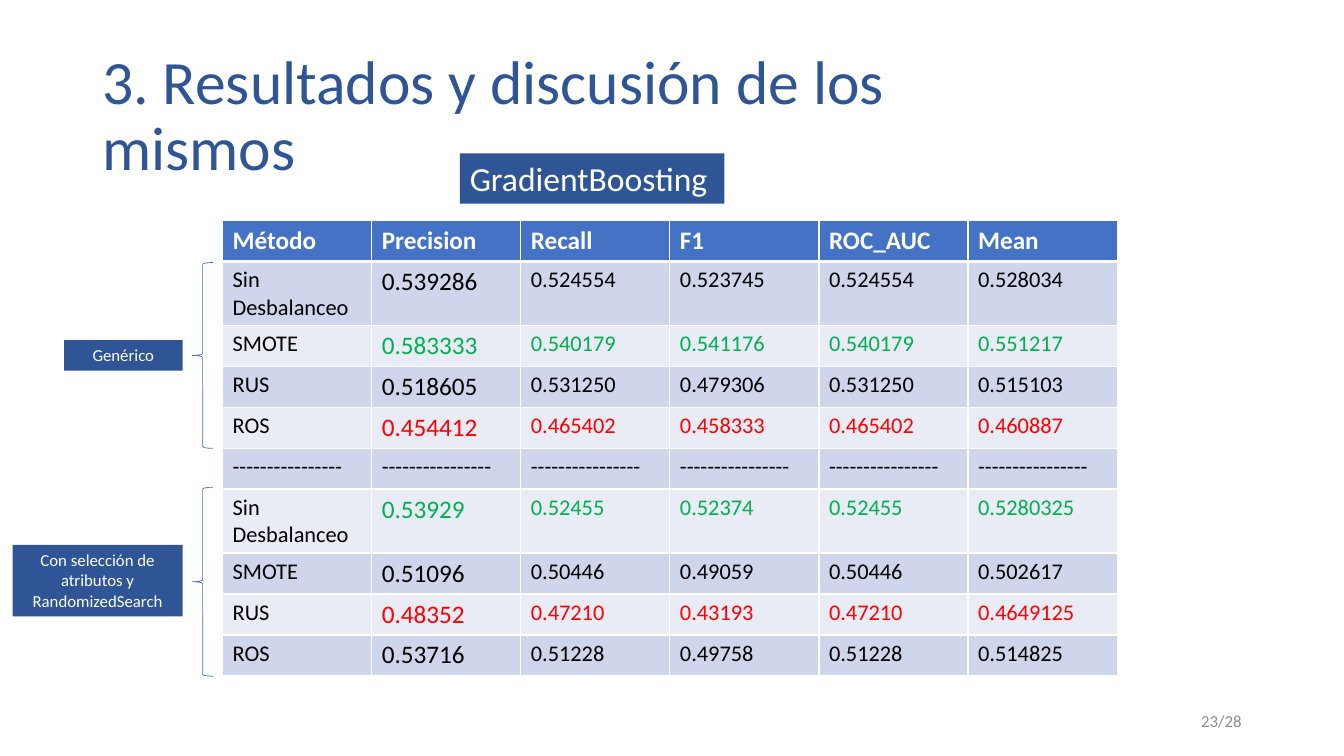
from dataclasses import dataclass

from lxml import etree
from pptx import Presentation
from pptx.dml.color import RGBColor
from pptx.enum.shapes import MSO_SHAPE
from pptx.enum.text import MSO_ANCHOR, MSO_AUTO_SIZE, PP_ALIGN
from pptx.oxml.ns import qn
from pptx.util import Pt

PX = 9525  # EMU in one px, 96 px to the inch
RECTANGLE, LEFT_BRACE = MSO_SHAPE.RECTANGLE, MSO_SHAPE.LEFT_BRACE
TOP, MIDDLE = MSO_ANCHOR.TOP, MSO_ANCHOR.MIDDLE
LEFT, CENTER, RIGHT = PP_ALIGN.LEFT, PP_ALIGN.CENTER, PP_ALIGN.RIGHT
FIT_SHAPE = MSO_AUTO_SIZE.SHAPE_TO_FIT_TEXT


@dataclass(frozen=True)
class Theme:
    font: str = "Calibri"
    navy: str = "2F5597"
    blue: str = "4472C4"
    white: str = "FFFFFF"
    black: str = "000000"
    gray: str = "8C8C8C"
    best: str = "00B050"
    worst: str = "FF0000"
    bands: tuple = ("CFD5EA", "E9EBF5")
    title_size: int = 44
    model_size: int = 24
    large_size: int = 18
    body_size: int = 16
    small_size: int = 12


HEADERS = ["Método", "Precision", "Recall", "F1", "ROC_AUC", "Mean"]
GENERIC = [
    ["Sin Desbalanceo", "0.539286", "0.524554", "0.523745", "0.524554", "0.528034"],
    ["SMOTE", "0.583333", "0.540179", "0.541176", "0.540179", "0.551217"],
    ["RUS", "0.518605", "0.531250", "0.479306", "0.531250", "0.515103"],
    ["ROS", "0.454412", "0.465402", "0.458333", "0.465402", "0.460887"],
]
SELECTED = [
    ["Sin Desbalanceo", "0.53929", "0.52455", "0.52374", "0.52455", "0.5280325"],
    ["SMOTE", "0.51096", "0.50446", "0.49059", "0.50446", "0.502617"],
    ["RUS", "0.48352", "0.47210", "0.43193", "0.47210", "0.4649125"],
    ["ROS", "0.53716", "0.51228", "0.49758", "0.51228", "0.514825"],
]
DIVIDER = ["-" * 16] * len(HEADERS)
COLUMN_WIDTH, ROW_HEIGHT, TALL_ROW_HEIGHT = 142, 39, 61


def rgb(color):
    return RGBColor.from_string(color)


class SlideBuilder:
    def __init__(self, slide, theme):
        self.slide = slide
        self.theme = theme

    def set_text(self, frame, text, *, size, color, bold=False, align=LEFT, spacing=None):
        frame.word_wrap = True
        paragraph = frame.paragraphs[0]
        paragraph.alignment = align
        if spacing:
            paragraph.line_spacing = spacing
        run = paragraph.add_run()
        run.text = text
        run.font.name = self.theme.font
        run.font.size = Pt(size)
        run.font.bold = bold
        run.font.color.rgb = rgb(color)

    def text_box(self, box, text, **text_format):
        frame = self.slide.shapes.add_textbox(*(n * PX for n in box)).text_frame
        frame.vertical_anchor = MIDDLE
        self.set_text(frame, text, **text_format)

    def shape(self, kind, box):
        shape = self.slide.shapes.add_shape(kind, *(n * PX for n in box))
        shape.shadow.inherit = False
        return shape

    def label(self, box, text, *, size, align=CENTER):
        label = self.shape(RECTANGLE, box)
        label.fill.solid()
        label.fill.fore_color.rgb = rgb(self.theme.navy)
        label.line.fill.background()
        frame = label.text_frame
        frame.vertical_anchor = TOP
        frame.auto_size = FIT_SHAPE
        self.set_text(frame, text, size=size, color=self.theme.white, align=align)

    def brace(self, box):
        brace = self.shape(LEFT_BRACE, box)
        brace.fill.background()
        brace.line.color.rgb = rgb(self.theme.blue)
        brace.line.width = Pt(0.5)

    def cell(self, cell, text, fill, top=1, bottom=1, **text_format):
        """Fill one table cell; top and bottom are border widths in points."""
        properties = cell._tc.get_or_add_tcPr()
        for side, width in (("L", 1), ("R", 1), ("T", top), ("B", bottom)):
            line = etree.SubElement(properties, qn(f"a:ln{side}"), w=str(Pt(width)))
            solid = etree.SubElement(line, qn("a:solidFill"))
            etree.SubElement(solid, qn("a:srgbClr"), val=self.theme.white)
        cell.fill.solid()
        cell.fill.fore_color.rgb = rgb(fill)
        self.set_text(cell.text_frame, text, **text_format)

    def group_colors(self, rows):
        """Give the value colour of each row: best and worst mean stand out."""
        means = [float(row[-1]) for row in rows]
        marks = {max(means): self.theme.best, min(means): self.theme.worst}
        return [marks.get(mean, self.theme.black) for mean in means]

    def results_table(self, left, top):
        theme = self.theme
        rows = GENERIC + [DIVIDER] + SELECTED
        colors = self.group_colors(GENERIC) + [theme.black] + self.group_colors(SELECTED)
        heights = [ROW_HEIGHT] + [
            TALL_ROW_HEIGHT if " " in row[0] else ROW_HEIGHT for row in rows]
        box = (left, top, COLUMN_WIDTH * len(HEADERS), sum(heights))
        table = self.slide.shapes.add_table(
            len(heights), len(HEADERS), *(n * PX for n in box)).table
        for column in table.columns:
            column.width = COLUMN_WIDTH * PX
        for row, height in zip(table.rows, heights):
            row.height = height * PX
        for j, header in enumerate(HEADERS):
            self.cell(table.cell(0, j), header, theme.blue, bottom=3,
                      size=theme.large_size, color=theme.white, bold=True)
        for i, (row, color) in enumerate(zip(rows, colors)):
            for j, value in enumerate(row):
                large = HEADERS[j] == "Precision" and row is not DIVIDER
                self.cell(table.cell(i + 1, j), value, theme.bands[i % 2],
                          top=3 if i == 0 else 1,
                          size=theme.large_size if large else theme.body_size,
                          color=color if j else theme.black)


def main():
    presentation = Presentation()
    presentation.slide_width = 1280 * PX
    presentation.slide_height = 720 * PX
    theme = Theme()
    builder = SlideBuilder(
        presentation.slides.add_slide(presentation.slide_layouts[6]), theme)

    builder.text_box((904, 667, 288, 38), "23/28",
                     size=theme.small_size, color=theme.gray, align=RIGHT)
    builder.results_table(212, 210)
    builder.brace((183, 250, 20, 177))
    builder.brace((183, 464, 20, 180))
    builder.label((61, 324, 113, 29), "Genérico", size=theme.small_size)
    builder.label((12, 519, 162, 68), "Con selección de atributos y RandomizedSearch",
                  size=theme.small_size)
    builder.label((438, 146, 252, 48), "GradientBoosting",
                  size=theme.model_size, align=LEFT)
    builder.text_box((88, 38, 950, 148), "3. Resultados y discusión de los mismos",
                     size=theme.title_size, color=theme.navy, spacing=0.9)
    presentation.save("out.pptx")


if __name__ == "__main__":
    main()
